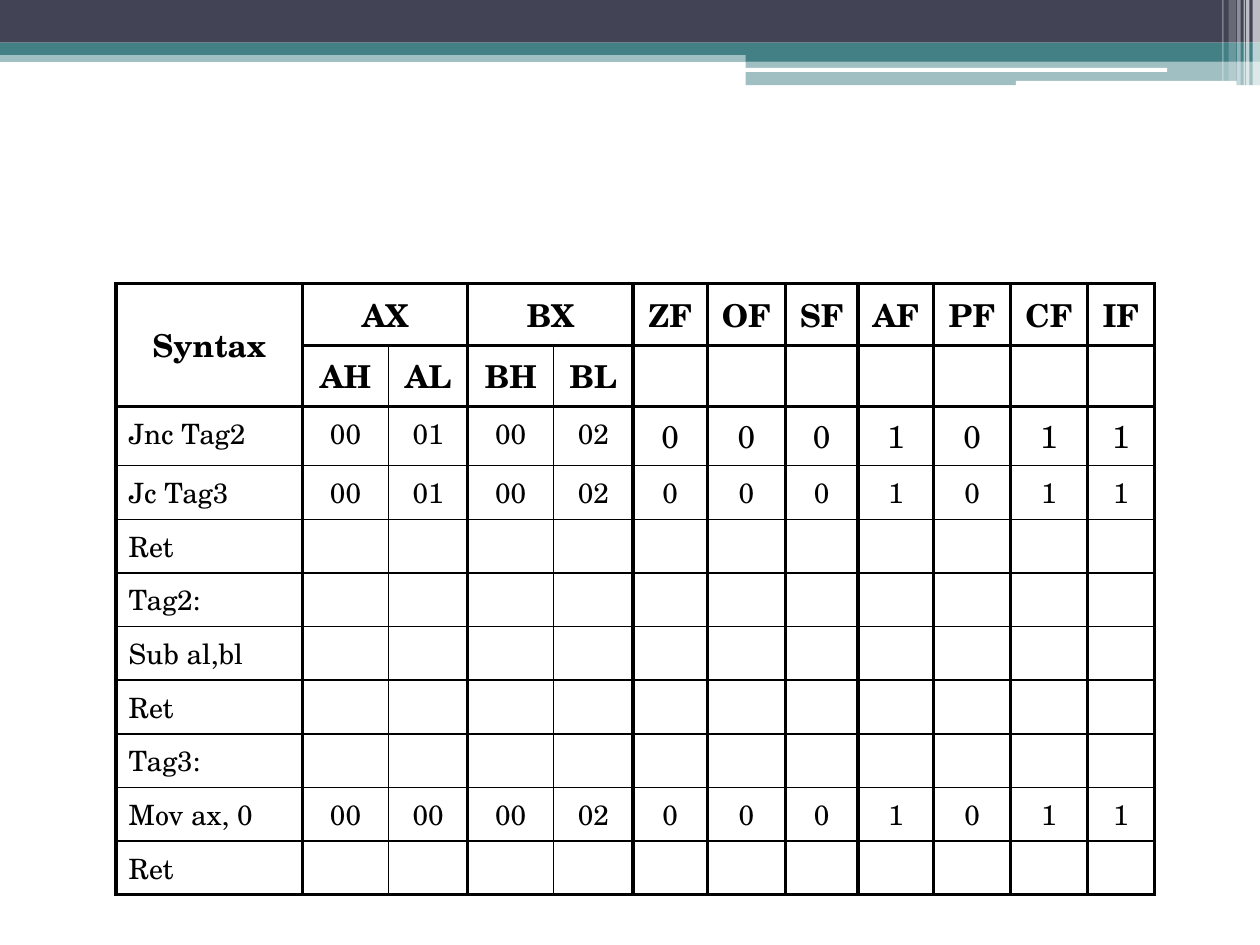
"""Build a slide with a table of register and flag values."""
import pptx
import pptx.util
import pptx.dml.color
import pptx.enum.shapes
import pptx.enum.text
import pptx.oxml
import lxml.etree
from pptx.util import Cm

COLORS = {"navy": "424456", "teal": "438086", "white": "FFFFFF", "black": "000000"}
FONT = "TeX Gyre Schola"
NS = "http://schemas.openxmlformats.org/drawingml/2006/main"
ALIGN = pptx.enum.text.PP_ALIGN
KINDS = pptx.enum.shapes.MSO_SHAPE


def rgb(name):
    return pptx.dml.color.RGBColor.from_string(COLORS[name])


def border(cell, side, width):
    line = pptx.oxml.parse_xml(
        f'<a:ln{side} xmlns:a="{NS}" w="{pptx.util.Pt(width)}"><a:solidFill>'
        f'<a:srgbClr val="{COLORS["black"]}"/></a:solidFill></a:ln{side}>')
    cell._tc.get_or_add_tcPr().append(line)


deck = pptx.Presentation()
deck.slide_width, deck.slide_height = Cm(25.4), Cm(19.05)
slide = deck.slides.add_slide(deck.slide_layouts[6])

bars = [
    (0, 1.02, 25.4, 0.23, "teal", 50),
    (0, 0, 25.4, 0.86, "navy", 100),
    (0, 0.86, 25.4, 0.25, "teal", 100),
    (15.03, 0.99, 10.37, 0.25, "teal", 100),
    (15.03, 1.22, 10.37, 0.5, "teal", 50),
    (15.02, 1.37, 8.51, 0.08, "white", 100),
    (20.48, 1.63, 4.45, 0.1, "white", 100),
    (25.25, 0, 0.15, 1.73, "white", 65),
    (25.12, 0, 0.07, 1.73, "white", 65),
    (25.07, 0, 0.03, 1.73, "white", 60),
    (24.94, 0, 0.07, 1.73, "white", 40),
    (24.77, 0, 0.15, 1.63, "white", 20),
    (24.64, 0, 0.03, 1.63, "white", 30),
]
for left, top, width, height, color, alpha in bars:
    kind = KINDS.ROUNDED_RECTANGLE if color == "white" and alpha == 100 else KINDS.RECTANGLE
    bar = slide.shapes.add_shape(kind, Cm(left), Cm(top), Cm(width), Cm(height))
    bar.shadow.inherit = False
    bar.line.fill.background()
    bar.fill.solid()
    bar.fill.fore_color.rgb = rgb(color)
    if alpha < 100:
        tint = bar._element.spPr.find(f".//{{{NS}}}srgbClr")
        lxml.etree.SubElement(tint, f"{{{NS}}}alpha", val=str(alpha * 1000))

flags = ["0", "0", "0", "1", "0", "1", "1"]
rows = [
    ["Syntax", "AX", "", "BX", "", "ZF", "OF", "SF", "AF", "PF", "CF", "IF"],
    ["", "AH", "AL", "BH", "BL"],
    ["Jnc Tag2", "00", "01", "00", "02"] + flags,
    ["Jc Tag3", "00", "01", "00", "02"] + flags,
    ["Ret"],
    ["Tag2:"],
    ["Sub al,bl"],
    ["Ret"],
    ["Tag3:"],
    ["Mov ax, 0", "00", "00", "00", "02"] + flags,
    ["Ret"],
]
widths = [3.76, 1.73, 1.6, 1.73, 1.6, 1.5, 1.57, 1.47, 1.52, 1.55, 1.55, 1.35]
heights = [1.24, 1.24, 1.17] + [1.08] * 8
last = len(rows) - 1

frame = slide.shapes.add_table(len(rows), len(widths), Cm(2.34), Cm(5.72),
                               Cm(sum(widths)), Cm(sum(heights)))
table = frame.table
table.first_row = table.horz_banding = False
for col, width in zip(table.columns, widths):
    col.width = Cm(width)
for row, height in zip(table.rows, heights):
    row.height = Cm(height)

for r, words in enumerate(rows):
    for c in range(len(widths)):
        cell = table.cell(r, c)
        head = r < 2
        if c < len(words):
            cell.text = words[c]
        if head:
            cell.vertical_anchor = pptx.enum.text.MSO_ANCHOR.MIDDLE
        para = cell.text_frame.paragraphs[0]
        para.alignment = ALIGN.CENTER if head or c else ALIGN.JUSTIFY
        para.font.name = FONT
        para.font.size = pptx.util.Pt(18 if head or (r == 2 and c > 4) else 16)
        para.font.bold = head
        para.font.color.rgb = rgb("black")
        thin = {
            "L": r > 0 and c in (2, 4),
            "R": r > 0 and c in (1, 3),
            "T": r > 2,
            "B": 2 <= r < last,
        }
        for side, fine in thin.items():
            border(cell, side, 1 if fine else 2.25)
        cell.fill.background()

for start, end in [((0, 0), (1, 0)), ((0, 1), (0, 2)), ((0, 3), (0, 4))]:
    table.cell(*start).merge(table.cell(*end))

deck.save("out.pptx")
